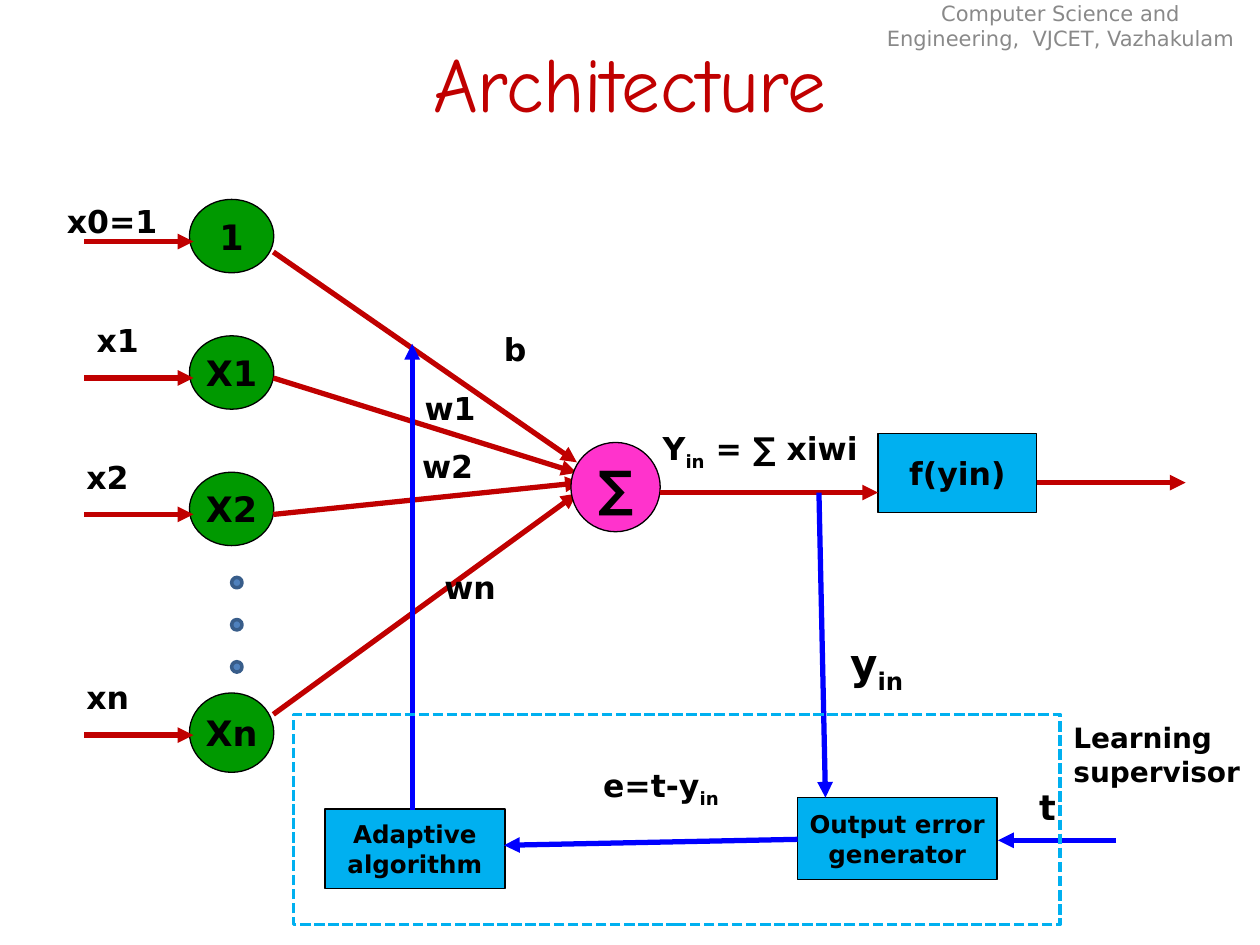
from dataclasses import dataclass

from lxml.etree import SubElement as Sub
from pptx import Presentation
from pptx.dml.color import RGBColor as Rgb
from pptx.enum.dml import MSO_LINE as Dash
from pptx.enum.shapes import MSO_CONNECTOR as Link, MSO_SHAPE as Form
from pptx.enum.text import MSO_ANCHOR as Anchor, PP_ALIGN as Align
from pptx.oxml.ns import qn
from pptx.util import Cm, Pt


@dataclass(frozen=True)
class Theme:
    head: str = "Comic Neue"
    body: str = "DejaVu Sans"
    ink: str = "000000"
    red: str = "C00000"
    blue: str = "0000FF"
    sky: str = "00B0F0"
    green: str = "009900"
    pink: str = "FF33CC"
    grey: str = "898989"
    dot: str = "4F81BD"
    rim: str = "385D8A"
    title: int = 44
    sigma: int = 28
    big: int = 24
    mid: int = 20
    label: int = 18
    side: int = 16
    block: int = 14
    note: int = 12


T = Theme()


def write(para, runs, size, color=T.ink, font=T.body, bold=True):
    """Add runs one by one; every second run is a subscript."""
    for i, text in enumerate(runs):
        run = para.add_run()
        run.text = text
        run.font.name, run.font.size, run.font.bold = font, Pt(size), bold
        run.font.color.rgb = Rgb.from_string(color)
        if i % 2:
            run._r.get_or_add_rPr().set("baseline", "-25000")


@dataclass
class Area:
    """A region whose parts are placed in cm from its top left corner."""
    slide: object
    left: float
    top: float

    def place(self, x, y):
        return Cm(self.left + x), Cm(self.top + y)

    def shape(self, form, x, y, w, h, fill=None, line=T.ink, width=0.75):
        item = self.slide.shapes.add_shape(form, *self.place(x, y), Cm(w), Cm(h))
        item.shadow.inherit = False
        if fill:
            item.fill.solid()
            item.fill.fore_color.rgb = Rgb.from_string(fill)
        else:
            item.fill.background()
        item.line.color.rgb = Rgb.from_string(line)
        item.line.width = Pt(width)
        return item

    def node(self, form, x, y, w, h, fill, lines, size):
        frame = self.shape(form, x, y, w, h, fill).text_frame
        frame.word_wrap = False
        frame.vertical_anchor = Anchor.MIDDLE
        for i, text in enumerate(lines):
            para = frame.add_paragraph() if i else frame.paragraphs[0]
            para.alignment = Align.CENTER
            write(para, [text], size)

    def arrow(self, x1, y1, x2, y2, color=T.red):
        item = self.slide.shapes.add_connector(
            Link.STRAIGHT, *self.place(x1, y1), *self.place(x2, y2))
        item.line.color.rgb = Rgb.from_string(color)
        item.line.width = Pt(3)
        Sub(item.line._get_or_add_ln(), qn("a:tailEnd"), type="triangle")
        Sub(item._element.spPr, qn("a:effectLst"))

    def label(self, x, y, w, runs, size=T.label, h=1.02):
        box = self.slide.shapes.add_textbox(*self.place(x, y), Cm(w), Cm(h))
        box.text_frame.word_wrap = True
        write(box.text_frame.paragraphs[0], runs, size)


def header(slide):
    # Title placeholder
    title = slide.shapes.title
    title.left, title.top, title.width, title.height = Cm(1.27), Cm(0.76), Cm(22.86), Cm(1.78)
    # Note in the top right corner
    note = slide.shapes.add_textbox(Cm(17.36), 0, Cm(8.04), Cm(1.02))
    note.text_frame.word_wrap = True
    for box in (title, note):
        box.text_frame.vertical_anchor = Anchor.MIDDLE
        box.text_frame.paragraphs[0].alignment = Align.CENTER
    write(title.text_frame.paragraphs[0], ["Architecture"], T.title, T.red, T.head, False)
    write(note.text_frame.paragraphs[0],
          ["Computer Science and Engineering,  VJCET, Vazhakulam"],
          T.note, T.grey, bold=False)


def inputs(slide, left, top):
    area = Area(slide, left, top)
    pitch = 2.75
    # Each row: y, node height, node text, label, label x and rise
    rows = [
        (0, 1.48, "1", "x0=1", 0, 0.08),
        (pitch, 1.48, "X1", "x1", 0.6, 0.42),
        (2 * pitch, 1.48, "X2", "x2", 0.39, 0.42),
        (9.95, 1.6, "Xn", "xn", 0.39, 0.42),
    ]
    for y, h, name, text, x, rise in rows:
        area.node(Form.OVAL, 2.72, y, 1.7, h, T.green, [name], T.mid)
        area.arrow(0.6, y + 0.85, 2.8, y + 0.85)
        area.label(x, y - rise, 2.6, [text])
    # Dots for the nodes left out
    for i in range(3):
        area.shape(Form.OVAL, 3.57, 7.62 + 0.85 * i, 0.21, 0.21, T.dot, T.rim, 2)


def weights(slide, left, top):
    area = Area(slide, left, top)
    # Each link: start y, end x and y, label, label x, y and width
    links = [
        (0, 6.12, 4.24, "b", 4.4, 1.45, 1.2),
        (2.54, 6.12, 4.45, "w1", 2.8, 2.64, 1.6),
        (5.29, 6.2, 4.65, "w2", 2.75, 3.81, 1.6),
        (9.32, 6.12, 4.87, "wn", 3.2, 6.25, 1.6),
    ]
    for start, x, y, text, tx, ty, w in links:
        area.arrow(0, start, x, y)
        area.label(tx, ty, w, [text])


def output(slide, left, top):
    area = Area(slide, left, top)
    area.node(Form.OVAL, 0, 0.39, 1.8, 1.8, T.pink, ["∑"], T.sigma)
    area.node(Form.RECTANGLE, 6.19, 0.21, 3.2, 1.6, T.sky, ["f(yin)"], T.label)
    area.arrow(1.8, 1.4, 6.19, 1.4)
    area.arrow(9.39, 1.2, 12.39, 1.2)
    area.label(1.6, 0, 5.1, ["Y", "in", " = ∑ xiwi"])


def trainer(slide, left, top):
    area = Area(slide, left, top)
    # Blocks
    area.node(Form.RECTANGLE, 0.63, 1.91, 3.63, 1.6, T.sky,
              ["Adaptive", "algorithm"], T.block)
    area.node(Form.RECTANGLE, 10.16, 1.68, 4.02, 1.65, T.sky,
              ["Output error", "generator"], T.block)
    # Feedback: sum to error, error to algorithm, algorithm to weights, target
    for ends in [(10.59, -4.47, 10.72, 1.68), (10.16, 2.52, 4.24, 2.64),
                 (2.39, 1.93, 2.39, -7.47), (16.58, 2.54, 14.2, 2.54)]:
        area.arrow(*ends, T.blue)
    # Labels
    area.label(10.97, -1.67, 2.6, ["y", "in"], T.big, 1.42)
    area.label(14.78, 1.32, 2.2, ["t"], T.mid)
    area.label(5.99, 0.92, 3.2, ["e=t-y", "in"])
    area.label(15.47, 0, 4.01, ["Learning supervisor"], T.side, 1.63)
    # Dashed frame
    frame = area.shape(Form.RECTANGLE, 0, 0, 15.45, 4.24, line=T.sky, width=2)
    frame.line.dash_style = Dash.SQUARE_DOT


def main():
    deck = Presentation()
    deck.slide_width, deck.slide_height = Cm(25.4), Cm(19.05)
    slide = deck.slides.add_slide(deck.slide_layouts[5])
    header(slide)
    inputs(slide, 1.1, 4.02)
    weights(slide, 5.51, 5.08)
    output(slide, 11.51, 8.53)
    trainer(slide, 5.92, 14.4)
    deck.save("out.pptx")


if __name__ == "__main__":
    main()
